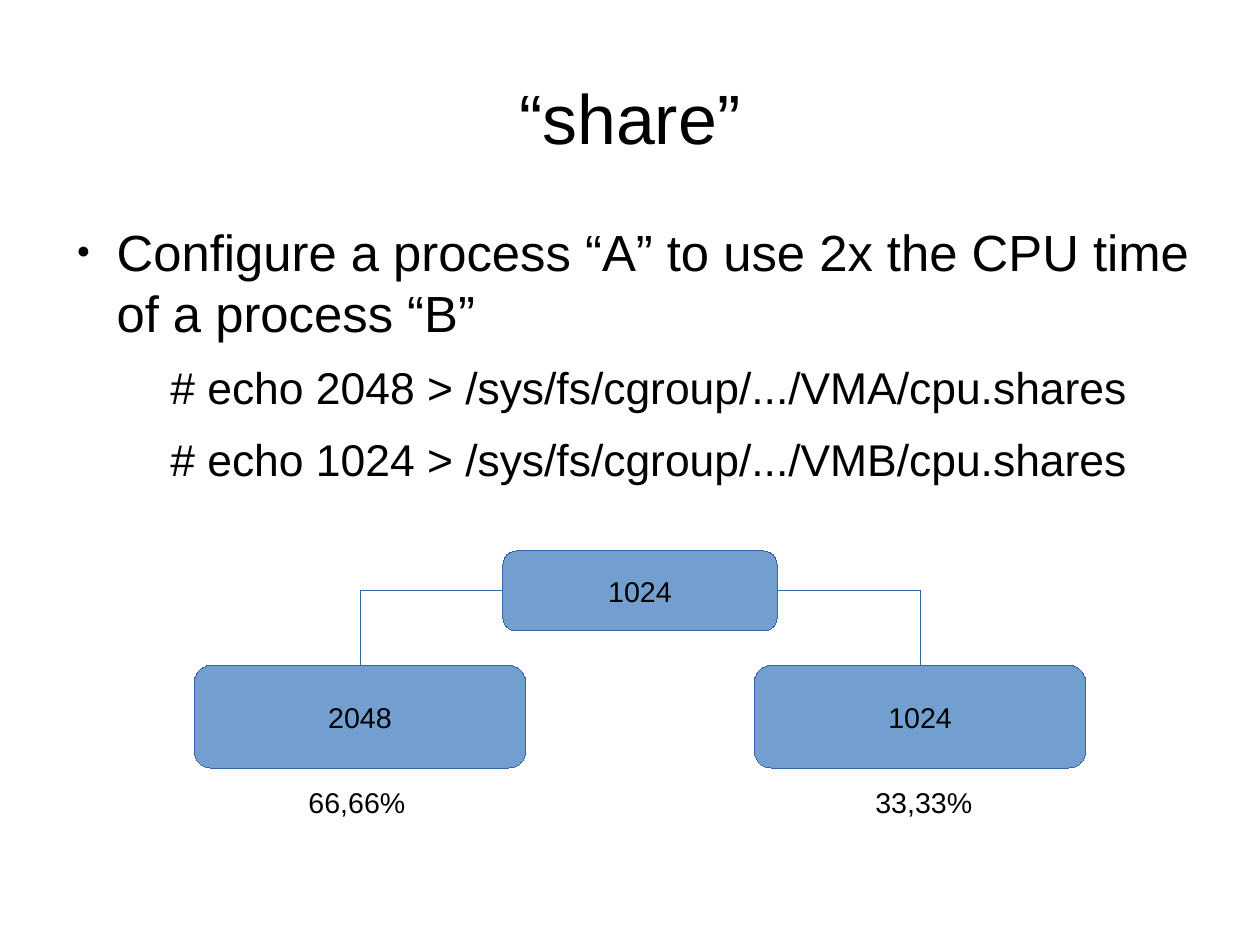
from lxml.etree import SubElement as Sub
from pptx import Presentation as Deck
from pptx.dml.color import RGBColor as Rgb
from pptx.enum.shapes import MSO_CONNECTOR as Link, MSO_SHAPE as Kind
from pptx.enum.text import MSO_ANCHOR as Anchor, PP_ALIGN as Align
from pptx.oxml.ns import qn
from pptx.util import Cm, Inches, Pt

CELL = 0.1


def span(*cells):
    return [Inches(cell * CELL) for cell in cells]


def tint(code):
    return Rgb.from_string(code)


class Board:
    """Hold the style and the slide, with lengths in tenth-inch cells."""

    face, ink, fill, edge = "Arial", "000000", "729FCF", "3465A4"

    def __init__(self, deck):
        self.slide = deck.slides.add_slide(deck.slide_layouts[6])

    def style(self, para, size, align=Align.LEFT):
        para.alignment = align
        para.font.name = self.face
        para.font.size = Pt(size)
        para.font.color.rgb = tint(self.ink)

    def frame(self, area, pad=(0, 0), wrap=True):
        frame = self.slide.shapes.add_textbox(*span(*area)).text_frame
        frame.word_wrap = wrap
        frame.margin_left = frame.margin_right = Inches(pad[0])
        frame.margin_top = frame.margin_bottom = Inches(pad[1])
        return frame

    def title(self, text, area):
        frame = self.frame(area)
        frame.vertical_anchor = Anchor.MIDDLE
        frame.text = text
        self.style(frame.paragraphs[0], 44, Align.CENTER)

    def body(self, lead, lines, area):
        frame = self.frame(area)
        frame.text = "\n".join([lead, *lines])
        first, *rest = frame.paragraphs
        first.space_before = Pt(14.2)
        self.bullet(first)
        self.style(first, 32)
        for para in rest:
            para.level = 1
            para.space_before = Pt(11.3)
            self.indent(para, 0.94, 0)
            self.style(para, 28)

    def indent(self, para, left, hang):
        props = para._p.get_or_add_pPr()
        props.set("marL", str(Inches(left)))
        props.set("indent", str(Inches(hang)))
        return props

    def bullet(self, para):
        props = self.indent(para, 0.47, -0.35)
        color = Sub(props, qn("a:buClr"))
        Sub(color, qn("a:srgbClr"), val=self.ink)
        Sub(props, qn("a:buSzPct"), val="45000")
        Sub(props, qn("a:buFont"), typeface=self.face)
        Sub(props, qn("a:buChar"), char="●")

    def box(self, text, area):
        box = self.slide.shapes.add_shape(Kind.ROUNDED_RECTANGLE, *span(*area))
        box.shadow.inherit = False
        box.fill.solid()
        box.fill.fore_color.rgb = tint(self.fill)
        self.stroke(box)
        frame = box.text_frame
        frame.word_wrap = False
        frame.vertical_anchor = Anchor.MIDDLE
        frame.text = text
        self.style(frame.paragraphs[0], 18, Align.CENTER)
        return box

    def label(self, text, area):
        frame = self.frame(area, (0.1, 0.05), False)
        frame.text = text
        self.style(frame.paragraphs[0], 18)

    def stroke(self, shape):
        shape.line.color.rgb = tint(self.edge)
        shape._element.spPr.find(qn("a:ln")).set("w", "0")

    def join(self, top, side, low):
        link = self.slide.shapes.add_connector(Link.ELBOW, 0, 0, 0, 0)
        link.begin_connect(top, side)
        link.end_connect(low, 0)
        self.stroke(link)
        props = link._element.spPr
        props.find(qn("a:prstGeom")).set("prst", "bentConnector2")
        Sub(props, qn("a:effectLst"))


def main():
    deck = Deck()
    deck.slide_width = Cm(28)
    deck.slide_height = Cm(21)
    board = Board(deck)
    board.title("“share”", (5.5, 3.3, 99.2, 13.8))
    board.body(
        "Configure a process “A” to use 2x the CPU time of a process “B”",
        [f"# echo {share} > /sys/fs/cgroup/.../{name}/cpu.shares"
         for share, name in ((2048, "VMA"), (1024, "VMB"))],
        (5.5, 19.3, 99.2, 47.9))
    root = board.box("1024", (44, 48.2, 24, 7))
    for share, part, left, start, side in (
            ("2048", "66,66%", 17, 26, 1),
            ("1024", "33,33%", 66, 75.6, 3)):
        child = board.box(share, (left, 58.2, 29, 9))
        board.label(part, (start, 68.2, 10.5, 3.8))
        board.join(root, side, child)
    deck.save("out.pptx")


if __name__ == "__main__":
    main()
